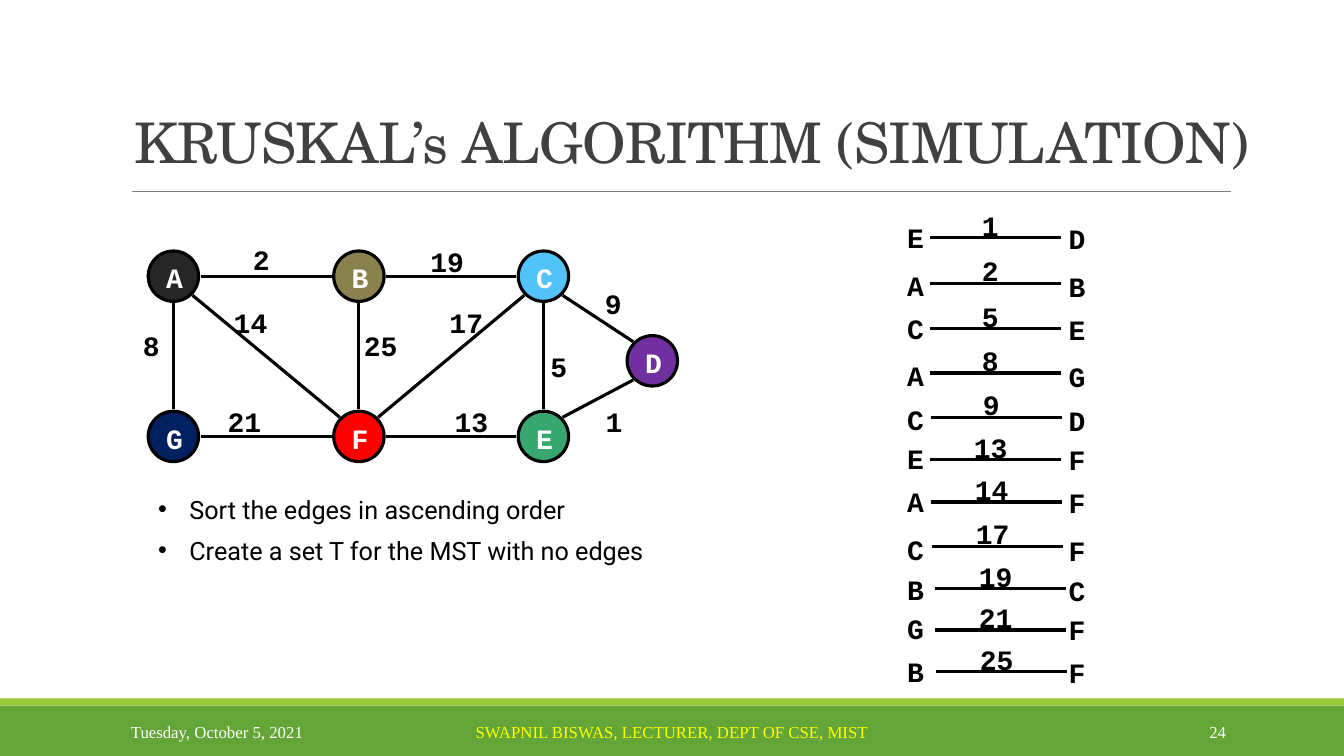
from lxml import etree
from pptx import Presentation
from pptx.dml.color import RGBColor
from pptx.enum.shapes import MSO_CONNECTOR, MSO_SHAPE
from pptx.enum.text import MSO_ANCHOR, MSO_AUTO_SIZE, PP_ALIGN
from pptx.oxml.ns import qn
from pptx.util import Inches, Pt

LINE = MSO_CONNECTOR.STRAIGHT
RECT, OVAL = MSO_SHAPE.RECTANGLE, MSO_SHAPE.OVAL
TOP, MIDDLE, BOTTOM = MSO_ANCHOR.TOP, MSO_ANCHOR.MIDDLE, MSO_ANCHOR.BOTTOM
LEFT, CENTER, RIGHT = PP_ALIGN.LEFT, PP_ALIGN.CENTER, PP_ALIGN.RIGHT
FIT, FIXED = MSO_AUTO_SIZE.SHAPE_TO_FIT_TEXT, MSO_AUTO_SIZE.NONE

TITLE = "KRUSKAL’s ALGORITHM (SIMULATION)"
BANDS = [(7, 0.5, "63A537"), (6.93, 0.07, "99CB38")]
NODES = {
    "A": (1.72, 2.74, "262626"),
    "B": (3.56, 2.74, "89814E"),
    "C": (5.39, 2.74, "51C3F9"),
    "D": (6.47, 3.58, "7030A0"),
    "E": (5.39, 4.33, "37A76F"),
    "F": (3.56, 4.33, "FF0000"),
    "G": (1.72, 4.33, "002060"),
}
# EDGES
EDGES = [
    ("E", "D", "1", (5.91, 3.96), (9.22, 2.36, 2.14)),
    ("A", "B", "2", (2.41, 2.36), (9.22, 2.81, 2.61)),
    ("C", "E", "5", (5.36, 3.42), (9.22, 3.26, 3.04)),
    ("A", "G", "8", (1.32, 3.21), (9.22, 3.7, 3.51)),
    ("C", "D", "9", (5.9, 2.79), (9.23, 4.14, 3.94)),
    ("E", "F", "13", (4.41, 3.96), (9.22, 4.56, 4.33)),
    ("A", "F", "14", (2.22, 2.98), (9.23, 4.98, 4.76)),
    ("C", "F", "17", (4.36, 2.98), (9.24, 5.42, 5.23)),
    ("B", "C", "19", (4.17, 2.38), (9.27, 5.84, 5.63)),
    ("G", "F", "21", (2.16, 3.96), (9.27, 6.25, 6.02)),
    ("B", "F", "25", (3.51, 3.21), (9.28, 6.66, 6.44)),
]
STEPS = [
    ("Sort the edges in ascending order", 4.85, 4.28),
    ("Create a set T for the MST with no edges", 5.26, 5.03),
]
FOOTER = [
    ("Tuesday, October 5, 2021", 1.2, 2.7, LEFT, "FFFFFF"),
    ("SWAPNIL BISWAS, LECTURER, DEPT OF CSE, MIST", 4.03, 5.27, CENTER, "FFFF00"),
    ("24", 10.83, 1.43, RIGHT, "FFFFFF"),
]
DIAMETER, STRAIGHT_GAP, DIAGONAL_GAP = 0.5, 0.27, 0.19
ROW_LINE = 1.3

LETTER = {"name": "Courier New", "size": Pt(20), "bold": True}
STEP = {"name": "Roboto", "size": Pt(18)}
HEADING = {"name": "TeX Gyre Schola", "size": Pt(40)}
SMALL = {"name": "Times New Roman", "size": Pt(12)}


def rgb(color):
    return RGBColor.from_string(color)


def add_shape(kind, x, y, w, h, fill, outline=None):
    sp = s.shapes.add_shape(kind, *map(Inches, (x, y, w, h)))
    sp.shadow.inherit = False
    sp.fill.solid()
    sp.fill.fore_color.rgb = rgb(fill)
    if outline:
        sp.line.color.rgb = rgb(outline)
        sp.line.width = Pt(2.25)
    else:
        sp.line.fill.background()


def add_line(x1, y1, x2, y2, color="000000", width=2.25):
    cn = s.shapes.add_connector(LINE, *map(Inches, (x1, y1, x2, y2)))
    cn.line.color.rgb = rgb(color)
    cn.line.width = Pt(width)
    etree.SubElement(cn.element.spPr, qn("a:effectLst"))


def add_text(text, x, y, w, h, font, color="000000", align=LEFT, anchor=TOP, wrap=False):
    tf = s.shapes.add_textbox(*map(Inches, (x, y, w, h))).text_frame
    frame = {"word_wrap": wrap, "vertical_anchor": anchor,
             "auto_size": FIXED if wrap else FIT}
    for key, value in frame.items():
        setattr(tf, key, value)
    p = tf.paragraphs[0]
    p.alignment = align
    r = p.add_run()
    r.text = text
    for key, value in font.items():
        setattr(r.font, key, value)
    r.font.color.rgb = rgb(color)
    return p


def add_letter(text, x, y, color="000000"):
    add_text(text, x, y, 0.2 + 0.17 * len(text), 0.44, LETTER, color)


def rim_gap(start, end):
    dx, dy = end[0] - start[0], end[1] - start[1]
    gap = DIAGONAL_GAP if dx and dy else STRAIGHT_GAP
    return [gap * ((d > 0) - (d < 0)) for d in (dx, dy)]


prs = Presentation()
prs.slide_width, prs.slide_height = Inches(13.33), Inches(7.5)
s = prs.slides.add_slide(prs.slide_layouts[6])

for y, h, fill in BANDS:
    add_shape(RECT, 0, y, 13.33, h, fill)
add_line(1.31, 1.9, 12.21, 1.9, "808080", 0.5)

p = add_text(TITLE, 1.24, 0.19, 11.46, 1.59, HEADING, "404040", anchor=BOTTOM, wrap=True)
p.line_spacing = 0.85
p.runs[0].font.element.set("spc", "-50") if hasattr(p.runs[0].font, "element") else p.runs[0]._r.get_or_add_rPr().set("spc", "-50")

for name, (cx, cy, fill) in NODES.items():
    add_shape(OVAL, cx - DIAMETER / 2, cy - DIAMETER / 2, DIAMETER, DIAMETER, fill, "000000")
    add_letter(name, cx - 0.17, cy - 0.2, "FFFFFF")

for start, end, weight, (wx, wy), (line_x, line_y, letter_y) in EDGES:
    (x1, y1), (x2, y2) = NODES[start][:2], NODES[end][:2]
    gx, gy = rim_gap((x1, y1), (x2, y2))
    add_line(x1 + gx, y1 + gy, x2 - gx, y2 - gy)
    add_letter(weight, wx, wy)

    add_line(line_x, line_y, line_x + ROW_LINE, line_y)
    add_letter(weight, line_x + 0.5 - 0.08 * len(weight), line_y - 0.34)
    add_letter(start, 8.9, letter_y)
    add_letter(end, 10.5, letter_y + 0.01)

for text, y, w in STEPS:
    pPr = add_text(text, 1.47, y, w, 0.4, STEP)._p.get_or_add_pPr()
    pPr.set("marL", str(Inches(0.31)))
    pPr.set("indent", str(Inches(-0.31)))
    etree.SubElement(pPr, qn("a:buFont"), typeface="Arial")
    etree.SubElement(pPr, qn("a:buChar"), char="•")

for text, x, w, align, color in FOOTER:
    add_text(text, x, 7.06, w, 0.4, SMALL, color, align, MIDDLE, True)

prs.save("out.pptx")
